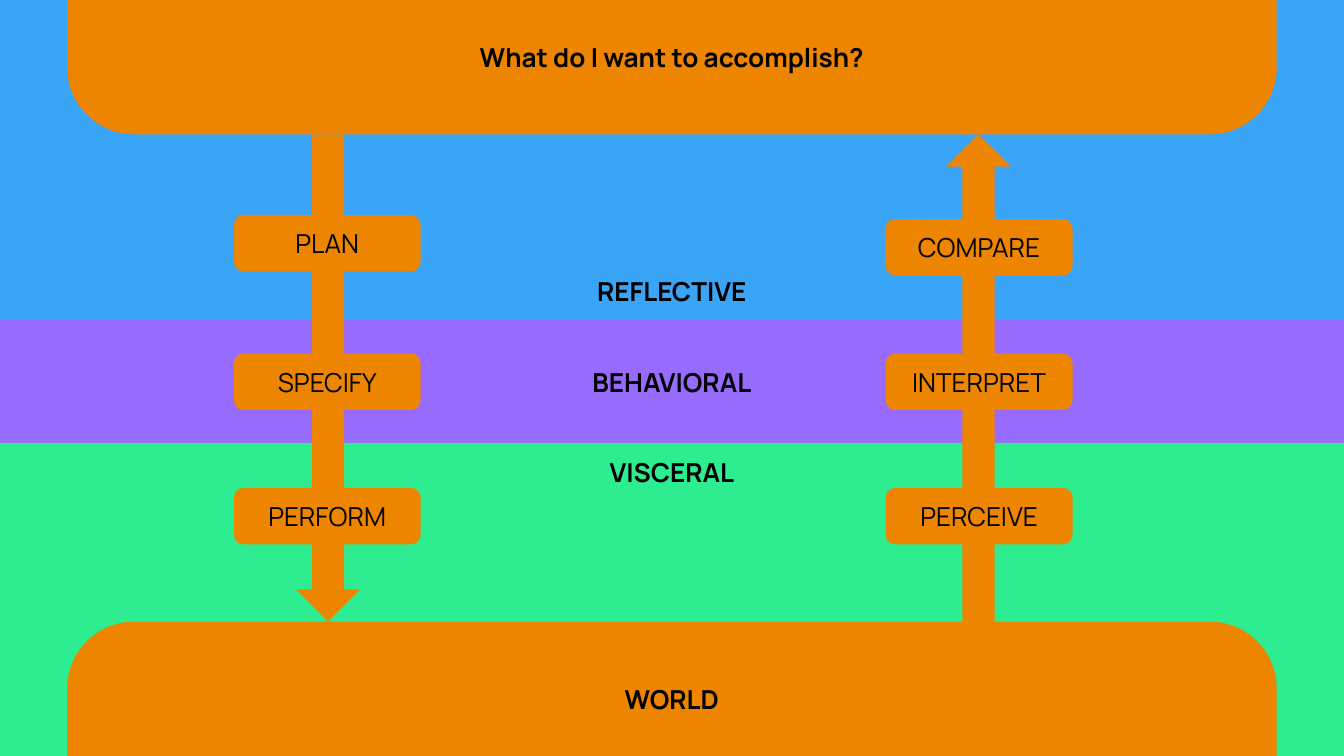
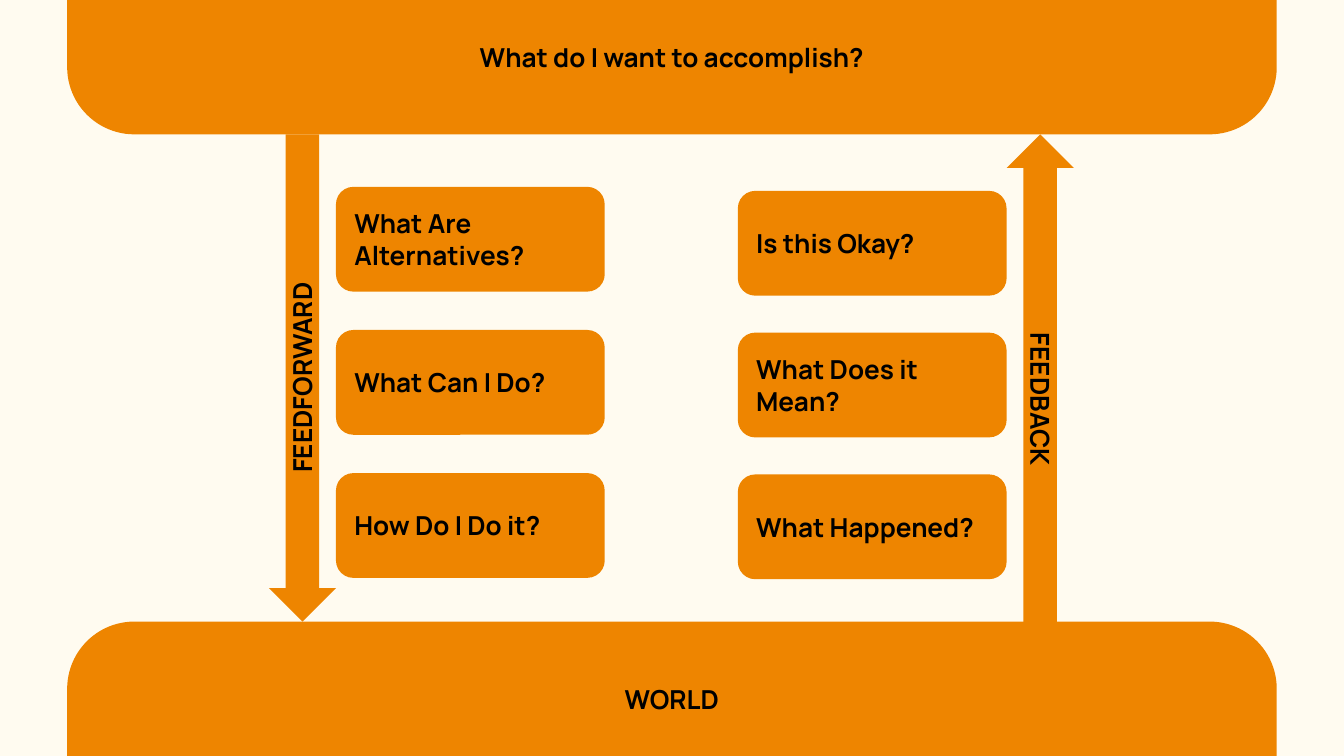
"""Build two slides on the loop between goals and the world."""
from dataclasses import dataclass

from pptx import Presentation
from pptx.dml.color import RGBColor
from pptx.enum.shapes import MSO_SHAPE
from pptx.enum.text import MSO_ANCHOR, PP_ALIGN
from pptx.util import Inches, Pt

RECT = MSO_SHAPE.RECTANGLE
ROUND = MSO_SHAPE.ROUNDED_RECTANGLE
CAP = MSO_SHAPE.ROUND_2_SAME_RECTANGLE
DOWN = MSO_SHAPE.DOWN_ARROW
UP = MSO_SHAPE.UP_ARROW
TOP, MIDDLE, BOTTOM = MSO_ANCHOR.TOP, MSO_ANCHOR.MIDDLE, MSO_ANCHOR.BOTTOM
LEFT, CENTER = PP_ALIGN.LEFT, PP_ALIGN.CENTER


@dataclass(frozen=True)
class Theme:
    paper: str = "FFFBF0"
    orange: str = "EE8500"
    violet: str = "986BFF"
    blue: str = "3AA4F6"
    green: str = "2EED91"
    ink: str = "000000"
    font: str = "Manrope"
    size: int = 14
    inset: float = 0.1


THEME = Theme()
WIDTH = 10
HEIGHT = WIDTH * 9 / 16
EDGE, DEPTH = 0.5, 1
FLOOR = HEIGHT - DEPTH
SPAN = FLOOR - DEPTH

LEVELS = [
    ("BEHAVIORAL", THEME.violet, 2.28, 1.13, MIDDLE),
    ("REFLECTIVE", THEME.blue, 0, 2.38, BOTTOM),
    ("VISCERAL", THEME.green, HEIGHT - 2.33, 2.33, TOP),
]
STAGES = [
    (2.2, 0, 1.74, [("PLAN", 1.6), ("SPECIFY", 2.63), ("PERFORM", 3.63)]),
    (7.04, 180, 6.59,
     [("COMPARE", 1.63), ("INTERPRET", 2.63), ("PERCEIVE", 3.63)]),
]
ASKS = [
    (2.5, 1.39, 3.52,
     ["What Are Alternatives?", "What Can I Do?", "How Do I Do it?"]),
    (5.49, 1.42, 3.53,
     ["Is this Okay?", "What Does it Mean?", "What Happened?"]),
]
FLOWS = {
    "back": (7.49, 3.95, 0, "FEEDBACK", 6.75, 2.75, 90),
    "ahead": (2, SPAN, 180, "FEEDFORWARD", 1.25, 2.59, 270),
}
CAPS = [
    ("WORLD", FLOOR, (0.5, 0)),
    ("What do I want to accomplish?", 0, (0, 0.5)),
]
STAGE_SIZE = (1.39, 0.42)
ASK_SIZE = (2, 0.78)


def write(shape, text, bold=True, align=CENTER, anchor=MIDDLE):
    frame = shape.text_frame
    inset = Inches(THEME.inset)
    look = {
        "word_wrap": True, "vertical_anchor": anchor,
        "margin_left": inset, "margin_right": inset,
        "margin_top": inset, "margin_bottom": inset,
    }
    for name, value in look.items():
        setattr(frame, name, value)
    para = frame.paragraphs[0]
    para.alignment = align
    run = para.add_run()
    run.text = text
    face = {"name": THEME.font, "size": Pt(THEME.size), "bold": bold}
    for name, value in face.items():
        setattr(run.font, name, value)
    run.font.color.rgb = RGBColor.from_string(THEME.ink)


def draw(slide, kind, box, fill=THEME.orange, adjust=(), turn=0):
    shape = slide.shapes.add_shape(kind, *map(Inches, box))
    shape.shadow.inherit = False
    shape.fill.solid()
    shape.fill.fore_color.rgb = RGBColor.from_string(fill)
    shape.line.fill.background()
    shape.rotation = turn
    for spot, value in enumerate(adjust):
        shape.adjustments[spot] = value
    return shape


def draw_caps(slide):
    for text, top, adjust in CAPS:
        box = (EDGE, top, WIDTH - 2 * EDGE, DEPTH)
        write(draw(slide, CAP, box, adjust=adjust), text)


def draw_flow(slide, flow):
    left, length, turn, text, x, y, tilt = flow
    draw(slide, UP, (left, DEPTH, 0.5, length), turn=turn)
    label = slide.shapes.add_textbox(*map(Inches, (x, y, 1.99, 0.44)))
    label.rotation = tilt
    write(label, text)


def draw_levels(slide):
    for text, fill, top, height, anchor in LEVELS:
        band = draw(slide, RECT, (0, top, WIDTH, height), fill)
        write(band, text, anchor=anchor)
    for shaft, turn, left, steps in STAGES:
        draw(slide, DOWN, (shaft, DEPTH, 0.48, SPAN), turn=turn)
        for text, top in steps:
            write(draw(slide, ROUND, (left, top, *STAGE_SIZE)), text, bold=False)
    draw_caps(slide)


def draw_asks(slide):
    draw_flow(slide, FLOWS["back"])
    for left, first, last, asks in ASKS:
        step = (last - first) / (len(asks) - 1)
        for row, text in enumerate(asks):
            box = (left, first + row * step, *ASK_SIZE)
            write(draw(slide, ROUND, box), text, align=LEFT)
    draw_flow(slide, FLOWS["ahead"])
    draw_caps(slide)


def main():
    deck = Presentation()
    deck.slide_width, deck.slide_height = Inches(WIDTH), Inches(HEIGHT)
    paper = deck.slide_master.background.fill
    paper.solid()
    paper.fore_color.rgb = RGBColor.from_string(THEME.paper)
    for paint in (draw_levels, draw_asks):
        paint(deck.slides.add_slide(deck.slide_layouts[6]))
    deck.save("out.pptx")


if __name__ == "__main__":
    main()
